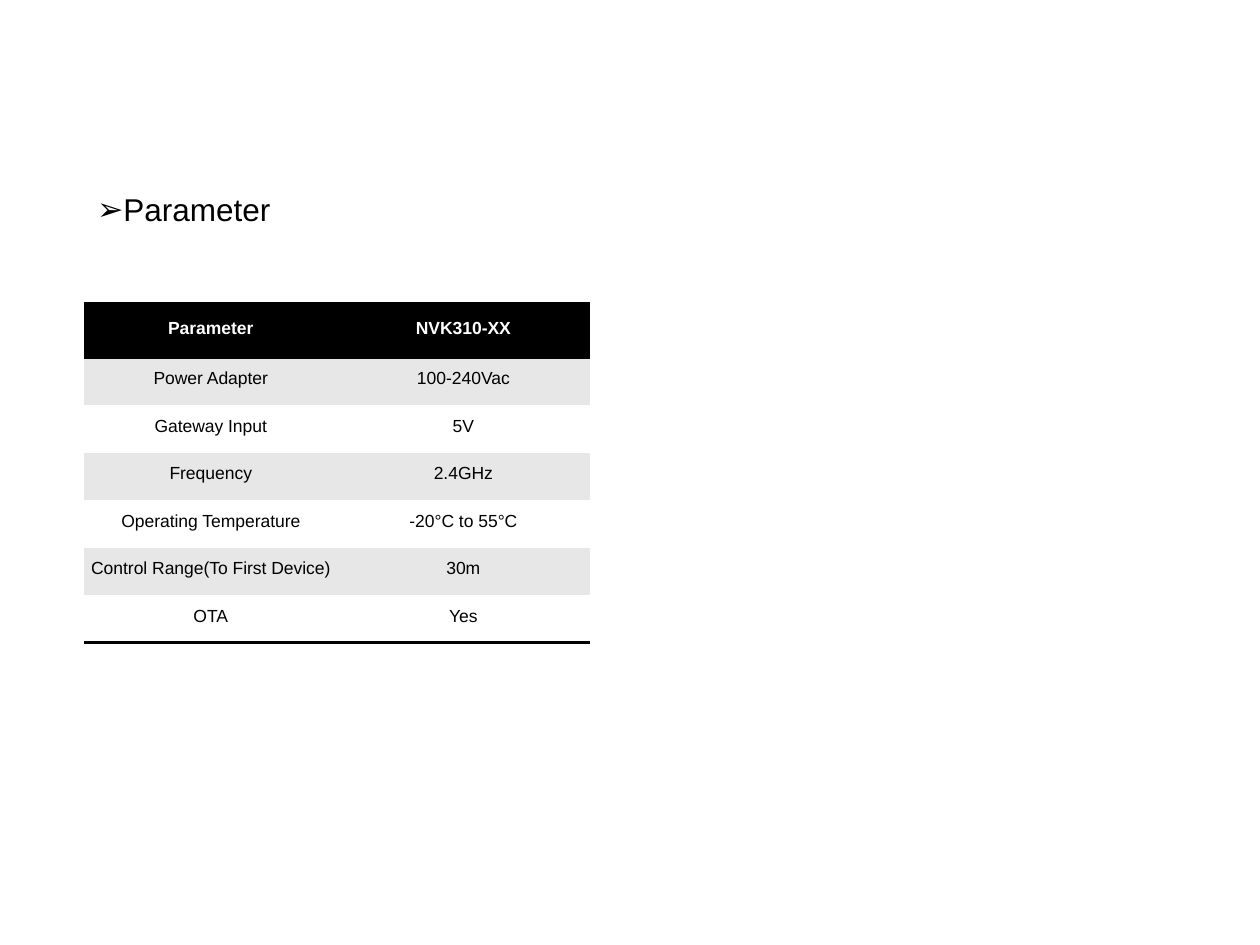
from lxml import etree
from pptx import Presentation
from pptx.dml.color import RGBColor
from pptx.enum.text import MSO_ANCHOR, MSO_AUTO_SIZE, PP_ALIGN
from pptx.oxml.ns import qn
from pptx.util import Inches, Pt

LEFT, CENTER = PP_ALIGN.LEFT, PP_ALIGN.CENTER
TOP, MIDDLE = MSO_ANCHOR.TOP, MSO_ANCHOR.MIDDLE
NO_AUTOFIT = MSO_AUTO_SIZE.NONE

BLACK = RGBColor(0x00, 0x00, 0x00)
WHITE = RGBColor(0xFF, 0xFF, 0xFF)
GRAY = RGBColor(0xE7, 0xE7, 0xE7)

FONT = "Arial"
TITLE_ONLY = 5
NO_STYLE = "{2D5ABB26-0587-4C30-8999-92F81FD0307C}"
MARGIN = 0.67
HEADING_BOX = (MARGIN, 1.46, 3.31, 0.4)
TABLE_BOX = (MARGIN, 2.41, 4.01, 2.69)
HEADER_HEIGHT = 0.43
RULE_WIDTH = 2

PARAMETERS = [
    ("Parameter", "NVK310-XX"),
    ("Power Adapter", "100-240Vac"),
    ("Gateway Input", "5V"),
    ("Frequency", "2.4GHz"),
    ("Operating Temperature", "-20°C to 55°C"),
    ("Control Range(To First Device)", "30m"),
    ("OTA", "Yes"),
]


def set_values(target, values):
    for name, value in values.items():
        setattr(target, name, value)


def write(para, text, align, size, color, bold=False):
    para.alignment = align
    span = para.add_run()
    span.text = text
    set_values(span.font, {"name": FONT, "size": Pt(size), "bold": bold})
    span.font.color.rgb = color


def add_bullet(para, mark):
    props = para._p.get_or_add_pPr()
    props.set("marL", "0")
    props.set("indent", "0")
    etree.SubElement(props, qn("a:buFont")).set("typeface", FONT)
    etree.SubElement(props, qn("a:buChar")).set("char", mark)


def add_heading(page, box, text):
    title = page.shapes.title
    names = ("left", "top", "width", "height")
    set_values(title, dict(zip(names, map(Inches, box))))
    frame = title.text_frame
    set_values(frame, {"word_wrap": True, "auto_size": NO_AUTOFIT,
                       "vertical_anchor": TOP})
    para = frame.paragraphs[0]
    write(para, text, LEFT, 18, BLACK)
    add_bullet(para, "➢")


def add_rules(cell, sides):
    """Draw black rules on the given sides, ahead of the fill as the schema asks."""
    props = cell._tc.get_or_add_tcPr()
    for index, side in enumerate(sides):
        line = etree.Element(qn(f"a:ln{side}"), w=str(Pt(RULE_WIDTH)))
        fill = etree.SubElement(line, qn("a:solidFill"))
        etree.SubElement(fill, qn("a:srgbClr")).set("val", str(BLACK))
        props.insert(index, line)


def fill_cell(cell, text, row, last_row):
    header = row == 0
    set_values(cell, {"margin_left": Inches(0.01), "margin_right": Inches(0.01),
                      "margin_top": Inches(0.01), "margin_bottom": Inches(0.05),
                      "vertical_anchor": MIDDLE})
    cell.fill.solid()
    cell.fill.fore_color.rgb = BLACK if header else GRAY if row % 2 else WHITE
    write(cell.text_frame.paragraphs[0], text, CENTER, 10,
          WHITE if header else BLACK, header)
    add_rules(cell, {0: "TB", last_row: "B"}.get(row, ""))


def add_parameter_table(page, box, rows):
    columns, last_row = len(rows[0]), len(rows) - 1
    frame = page.shapes.add_table(len(rows), columns, *map(Inches, box))
    table = frame.table
    set_values(table, {"first_row": False, "horz_banding": False})
    table._tbl.tblPr.find(qn("a:tableStyleId")).text = NO_STYLE
    width, height = box[2:]
    for column in table.columns:
        column.width = Inches(width / columns)
    body_height = (height - HEADER_HEIGHT) / last_row
    for row, texts in enumerate(rows):
        table.rows[row].height = Inches(body_height if row else HEADER_HEIGHT)
        for column, text in enumerate(texts):
            fill_cell(table.cell(row, column), text, row, last_row)


def main():
    deck = Presentation()
    set_values(deck, {"slide_width": Inches(10), "slide_height": Inches(7.5)})
    page = deck.slides.add_slide(deck.slide_layouts[TITLE_ONLY])
    add_heading(page, HEADING_BOX, "Parameter")
    add_parameter_table(page, TABLE_BOX, PARAMETERS)
    deck.save("out.pptx")


if __name__ == "__main__":
    main()
